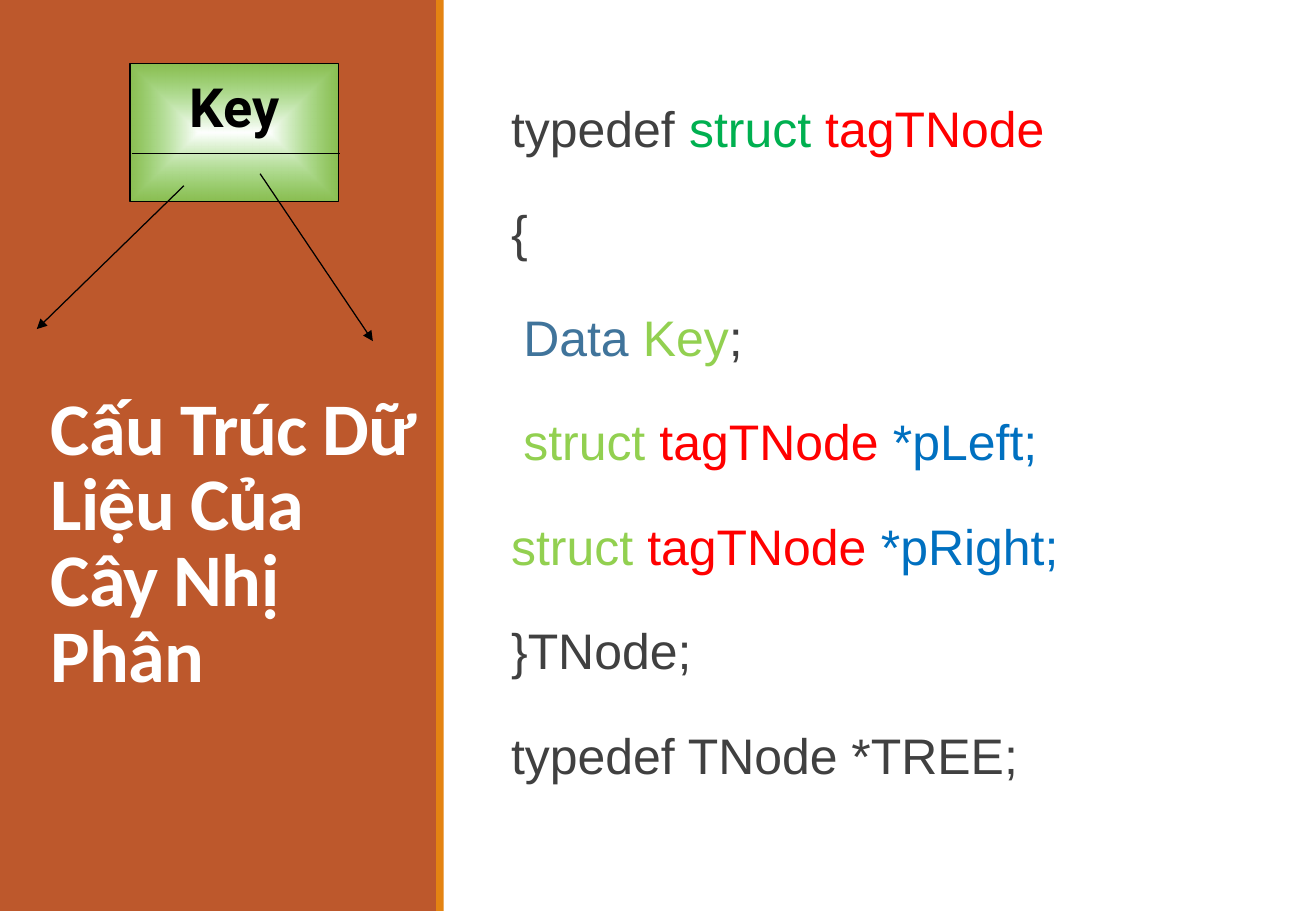
from lxml import etree
from pptx import Presentation
from pptx import util as u
from pptx.dml.color import RGBColor
from pptx.enum import shapes, text
from pptx.oxml import parse_xml
from pptx.oxml.ns import qn

NS = 'xmlns:a="http://schemas.openxmlformats.org/drawingml/2006/main"'
GREY, RED, LIME, BLUE = "404040", "FF0000", "92D050", "0070C0"
CODE = [
    (0, [("typedef ", GREY), ("struct ", "00B050"), ("tagTNode", RED)]),
    (0, [("{", GREY)]),
    (7.2, [("Data ", "40749B"), ("Key", LIME), (";", GREY)]),
    (7.2, [("struct ", LIME), ("tagTNode ", RED), ("*pLeft;", BLUE)]),
    (0, [("struct ", LIME), ("tagTNode ", RED), ("*pRight;", BLUE)]),
    (0, [("}TNode;", GREY)]),
    (0, [("typedef TNode *TREE;", GREY)]),
]


def rgb(value):
    return RGBColor.from_string(value)


def add_text(p, value, font="Arial", size=29.6, color=GREY, bold=False, spacing=0):
    r = p.add_run()
    r.text = value
    r.font.name = font
    r.font.size = u.Pt(size)
    r.font.bold = bold
    r.font.color.rgb = rgb(color)
    if spacing:
        r._r.get_or_add_rPr().set("spc", str(int(spacing * 100)))


def add_frame(s, x, y, w, h, margin=0):
    tf = s.shapes.add_textbox(u.Pt(x), u.Pt(y), u.Pt(w), u.Pt(h)).text_frame
    tf.word_wrap = True
    tf.margin_left = tf.margin_right = u.Pt(margin)
    tf.margin_top = tf.margin_bottom = 0
    return tf


def add_rect(s, x, y, w, h, color):
    sp = s.shapes.add_shape(shapes.MSO_SHAPE.RECTANGLE, u.Pt(x), u.Pt(y), u.Pt(w), u.Pt(h))
    sp.shadow.inherit = False
    sp.fill.solid()
    sp.fill.fore_color.rgb = rgb(color)
    sp.line.fill.background()
    return sp


def add_line(s, x1, y1, x2, y2, arrow=False):
    cx = s.shapes.add_connector(
        shapes.MSO_CONNECTOR.STRAIGHT, u.Pt(x1), u.Pt(y1), u.Pt(x2), u.Pt(y2))
    cx.line.color.rgb = rgb("000000")
    cx.line.width = u.Pt(0.75)
    if arrow:
        etree.SubElement(cx.line._get_or_add_ln(), qn("a:tailEnd"), type="triangle")
    etree.SubElement(cx._element.spPr, qn("a:effectLst"))


def add_panel(s, x, y, w, h):
    add_rect(s, x, y, w, h, "BD582C")
    add_rect(s, x + w - 0.7, y, 4.5, h, "E48312")
    tf = add_frame(s, x + 23, y + 123.6, 231, 400, 7.2)
    tf.vertical_anchor = text.MSO_ANCHOR.MIDDLE
    p = tf.paragraphs[0]
    p.line_spacing = 0.85
    add_text(p, "Cấu Trúc Dữ Liệu Của Cây Nhị Phân",
             font="Calibri", size=44, color="FFFFFF", bold=True, spacing=-0.5)


def add_node(s, x, y, w, h):
    sp = add_rect(s, x, y, w, h, "FFFFFF")
    solid = sp._element.spPr.find(qn("a:solidFill"))
    solid.getparent().replace(solid, parse_xml(
        f'<a:gradFill {NS} rotWithShape="1"><a:gsLst>'
        '<a:gs pos="0"><a:srgbClr val="FFFFFF"/></a:gs>'
        '<a:gs pos="100000"><a:srgbClr val="69FF69"><a:alpha val="60000"/></a:srgbClr></a:gs>'
        '</a:gsLst><a:path path="shape">'
        '<a:fillToRect l="50000" t="50000" r="50000" b="50000"/></a:path></a:gradFill>'))
    sp.line.color.rgb = rgb("000000")
    sp.line.width = u.Pt(0.75)
    tf = sp.text_frame
    tf.vertical_anchor = text.MSO_ANCHOR.TOP
    tf.margin_top = u.Pt(6)
    p = tf.paragraphs[0]
    p.alignment = text.PP_ALIGN.CENTER
    add_text(p, "Key", font="Roboto", size=32, color="000000", bold=True)
    add_line(s, x + 1, y + 53.3, x + w + 1, y + 53.3)
    add_line(s, x + 32, y + 72.5, x - 55.2, y + 157.5, arrow=True)
    add_line(s, x + 77.2, y + 65.4, x + 144, y + 164.6, arrow=True)


def add_code(s, x, y, w, h):
    tf = add_frame(s, x, y, w, h)
    for i, (indent, runs) in enumerate(CODE):
        p = tf.add_paragraph() if i else tf.paragraphs[0]
        p.line_spacing = 1.3
        p.space_after = u.Pt(15.8)
        p._p.get_or_add_pPr().set("marL", str(u.Pt(indent)))
        for value, color in runs:
            add_text(p, value, color=color)


def main():
    prs = Presentation()
    prs.slide_width, prs.slide_height = u.Pt(780), u.Pt(540)
    s = prs.slides.add_slide(prs.slide_layouts[6])
    add_panel(s, 0, 0, 259.2, 540)
    add_node(s, 77, 37.6, 123.8, 82)
    add_code(s, 303, 47, 410, 430)
    prs.save("out.pptx")


if __name__ == "__main__":
    main()
